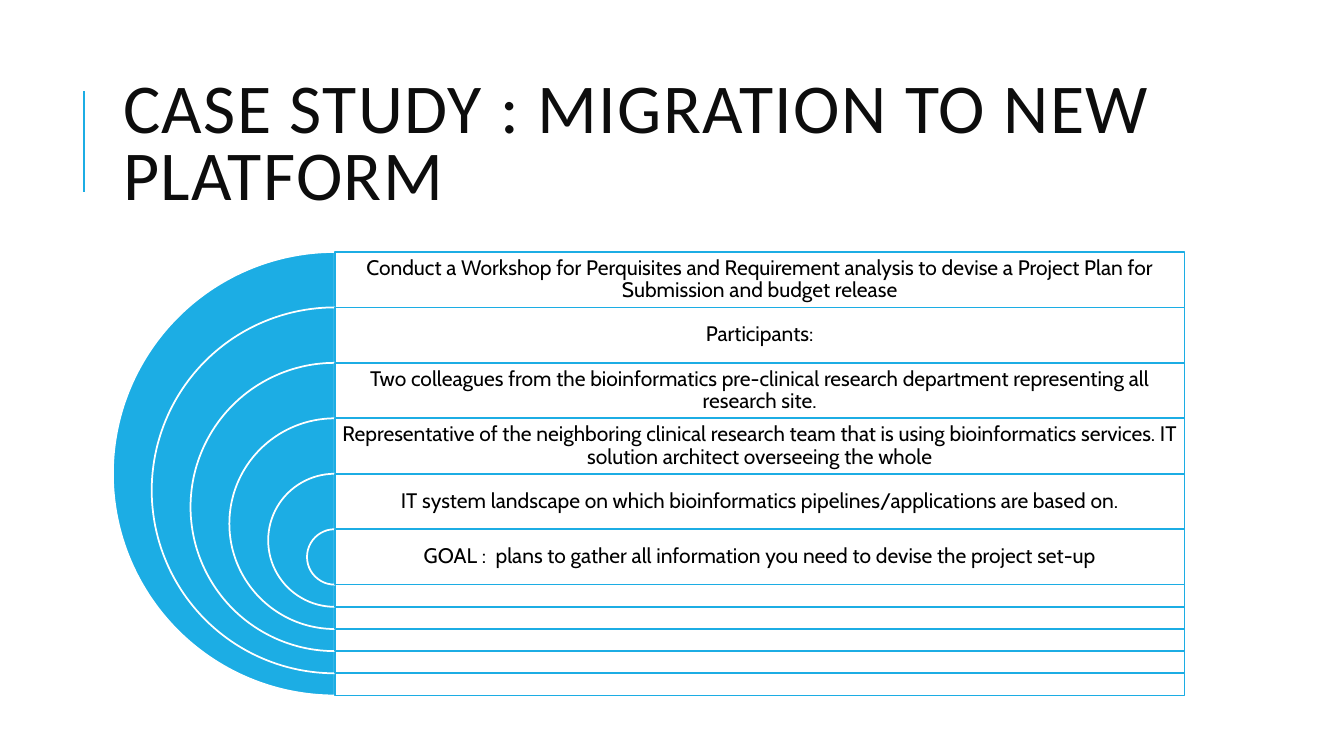
"""Build the case study slide with nested half rings and their captions."""
from dataclasses import dataclass

from lxml import etree
from pptx import Presentation
from pptx.dml.color import RGBColor
from pptx.enum.shapes import MSO_CONNECTOR, MSO_SHAPE
from pptx.enum.text import MSO_ANCHOR, MSO_AUTO_SIZE, PP_ALIGN
from pptx.oxml.ns import qn
from pptx.shapes.autoshape import Shape
from pptx.shapes.shapetree import GroupShapes
from pptx.slide import Slide
from pptx.util import Inches, Pt

STRAIGHT = MSO_CONNECTOR.STRAIGHT
PIE, RECTANGLE = MSO_SHAPE.PIE, MSO_SHAPE.RECTANGLE
MIDDLE = MSO_ANCHOR.MIDDLE
NO_AUTOFIT = MSO_AUTO_SIZE.NONE
LEFT, CENTER = PP_ALIGN.LEFT, PP_ALIGN.CENTER

COLORS = {"accent": "1CADE4", "white": "FFFFFF", "title": "0D0D0D", "text": "000000"}
TITLE = "CASE STUDY : MIGRATION TO NEW PLATFORM"
CAPTIONS = (
    "Conduct a Workshop for Perquisites and Requirement analysis to devise a Project Plan for "
    "Submission and budget release",
    "Participants:",
    "Two colleagues from the bioinformatics pre-clinical research department representing all "
    "research site.",
    "Representative of the neighboring clinical research team that is using bioinformatics "
    "services. IT solution architect overseeing the whole",
    "IT system landscape on which bioinformatics pipelines/applications are based on.",
    "GOAL :  plans to gather all information you need to devise the project set-up",
)
CENTER_X, TOP = 3.32, 2.5
PANEL_WIDTH, ROW_HEIGHT = 8.43, 0.55
OUTER_DIAMETER, DIAMETER_STEP = 4.4, 0.77


@dataclass(frozen=True)
class Ring:
    """One half ring with the caption in its panel."""

    caption: str
    top: float
    diameter: float


def color(name: str) -> RGBColor:
    """Return a named colour."""
    return RGBColor.from_string(COLORS[name])


def paint(shape: Shape, fill: str, line: str) -> None:
    """Give a shape a flat fill and a thin outline."""
    shape.shadow.inherit = False
    shape.fill.solid()
    shape.fill.fore_color.rgb = color(fill)
    shape.line.color.rgb = color(line)
    shape.line.width = Pt(1.25)


def add_title(page: Slide) -> None:
    """Place and format the title."""
    title = page.shapes.title
    title.left, title.top = Inches(1.12), Inches(0.64)
    title.width, title.height = Inches(10.63), Inches(1.64)
    frame = title.text_frame
    frame.text = TITLE
    frame.word_wrap = True
    frame.auto_size = NO_AUTOFIT
    frame.vertical_anchor = MIDDLE
    para = frame.paragraphs[0]
    para.alignment = LEFT
    para.line_spacing = 0.8
    span = para.runs[0]
    span.font.name = "Calibri"
    span.font.size = Pt(50)
    span.font.color.rgb = color("title")
    span.font._element.set("spc", "100")


def add_title_rule(page: Slide) -> None:
    """Draw the vertical rule beside the title."""
    rule = page.shapes.add_connector(
        STRAIGHT, Inches(0.83), Inches(1.9), Inches(0.83), Inches(0.9)
    )
    rule.line.color.rgb = color("accent")
    rule.line.width = Pt(1.5)
    etree.SubElement(rule._element.spPr, qn("a:effectLst"))


def add_ring(shapes: GroupShapes, ring: Ring) -> None:
    """Draw a half ring, its panel and its caption."""
    size = Inches(ring.diameter)
    top, width = Inches(ring.top), Inches(PANEL_WIDTH)
    pie = shapes.add_shape(PIE, Inches(CENTER_X - ring.diameter / 2), top, size, size)
    pie.adjustments[0], pie.adjustments[1] = 54, 162
    paint(pie, "accent", "white")

    panel = shapes.add_shape(RECTANGLE, Inches(CENTER_X), top, width, size)
    paint(panel, "white", "accent")
    tint = panel._element.spPr.find(qn("a:solidFill"))[0]
    etree.SubElement(tint, qn("a:alpha"), val="90000")

    box = shapes.add_textbox(Inches(CENTER_X), top, width, Inches(ROW_HEIGHT))
    frame = box.text_frame
    frame.text = ring.caption
    frame.word_wrap = True
    frame.vertical_anchor = MIDDLE
    frame.margin_left = frame.margin_right = Inches(0.06)
    frame.margin_top = frame.margin_bottom = Inches(0.06)
    para = frame.paragraphs[0]
    para.alignment = CENTER
    para.line_spacing = 0.9
    span = para.runs[0]
    span.font.name = "Cabin"
    span.font.size = Pt(15)
    span.font.color.rgb = color("text")


def main() -> None:
    """Build and save the deck."""
    deck = Presentation()
    deck.slide_width, deck.slide_height = Inches(13.33), Inches(7.5)
    page = deck.slides.add_slide(deck.slide_layouts[5])
    add_title_rule(page)
    add_title(page)
    group = page.shapes.add_group_shape()
    for index, caption in enumerate(CAPTIONS):
        ring = Ring(caption, TOP + index * ROW_HEIGHT, OUTER_DIAMETER - index * DIAMETER_STEP)
        add_ring(group.shapes, ring)
    deck.save("out.pptx")


if __name__ == "__main__":
    main()
